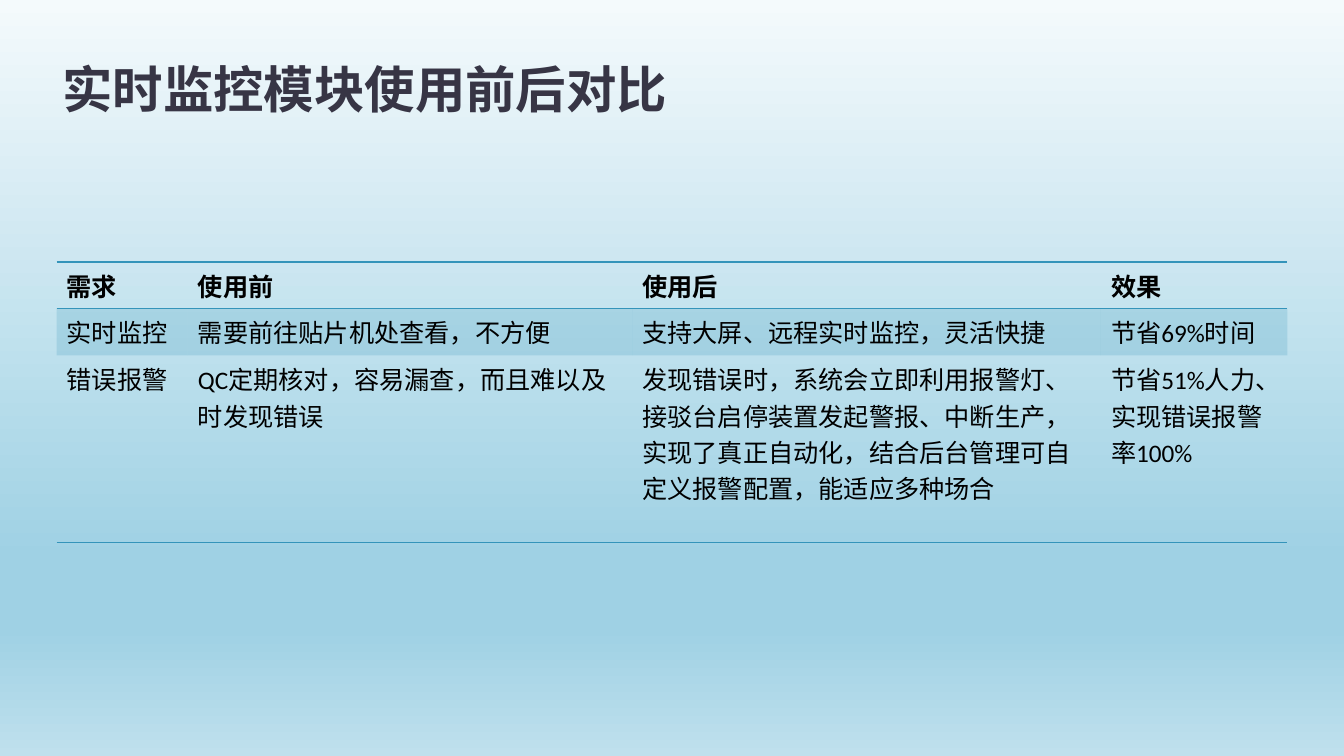
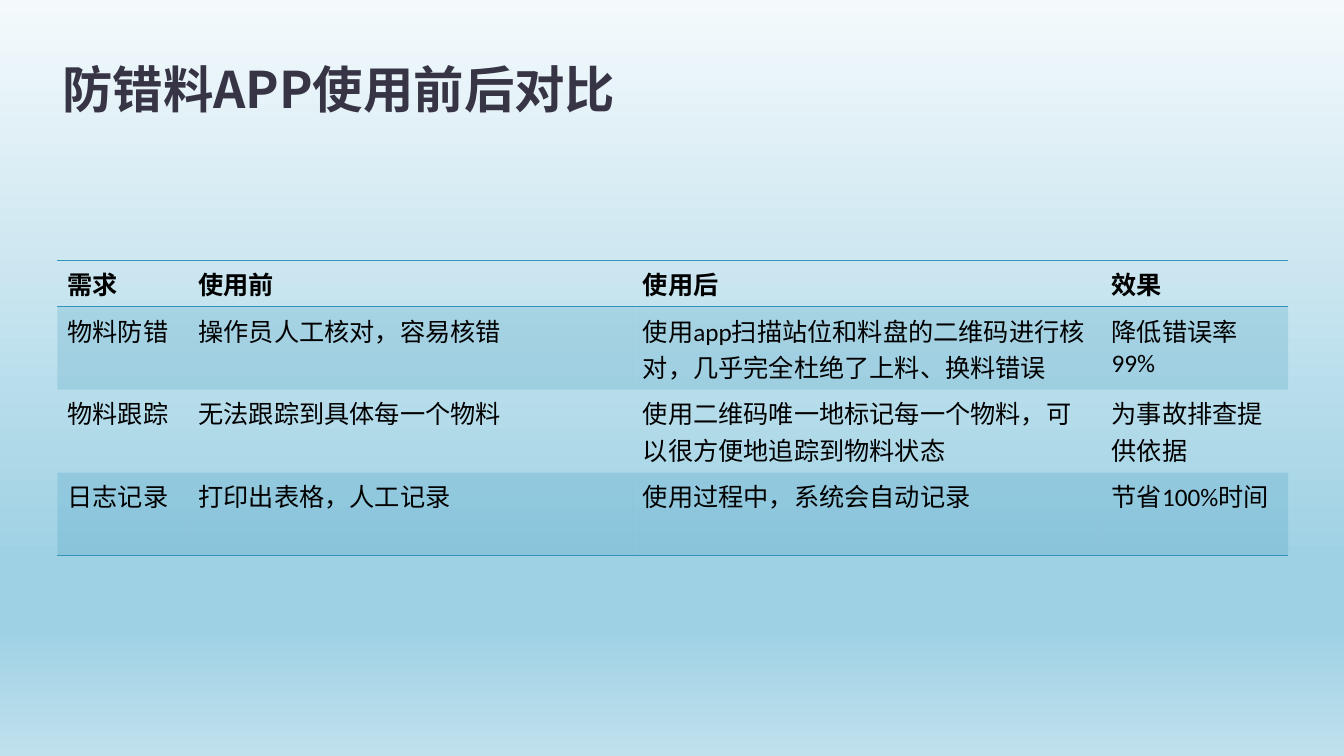
from dataclasses import dataclass

from lxml import etree
from pptx import Presentation
from pptx.dml.color import RGBColor
from pptx.enum.text import MSO_ANCHOR
from pptx.oxml.ns import qn
from pptx.slide import Slide, SlideMaster
from pptx.table import Table, _Cell
from pptx.text.text import TextFrame
from pptx.util import Pt

BOTTOM = MSO_ANCHOR.BOTTOM
PLAIN = "{2D5ABB26-0587-4C30-8999-92F81FD0307C}"


@dataclass(frozen=True)
class Theme:
    ink: str = "373545"
    text: str = "000000"
    line: str = "3494BA"
    band: str = "3494BA"
    clear: int = 20
    sky: tuple[tuple[int, str], ...] = (
        (0, "F4FAFC"), (74, "9FD1E4"), (83, "9FD1E4"), (100, "BFE0ED"))
    head: int = 36
    body: int = 18
    rule: int = 1
    latin: str = "Calibri"
    asian: str = "Noto Sans CJK SC"


@dataclass(frozen=True)
class Page:
    title: str
    left: float
    top: float
    highs: tuple[float, ...]
    rows: tuple[tuple[str, ...], ...]


THEME = Theme()
WIDE, HIGH = 960, 540
COLS = (93.6, 317.5, 334.8, 133.2)
HEADS = ("需求", "使用前", "使用后", "效果")
ONE, TWO = 33.3, 59.3

PAGES = (
    Page("实时监控模块使用前后对比", 40.5, 187.2, (ONE, ONE, 133.6), (
        ("实时监控", "需要前往贴片机处查看，不方便",
         "支持大屏、远程实时监控，灵活快捷", "节省69%时间"),
        ("错误报警", "QC定期核对，容易漏查，而且难以及时发现错误",
         "发现错误时，系统会立即利用报警灯、接驳台启停装置发起警报、中断生产，"
         "实现了真正自动化，结合后台管理可自定义报警配置，能适应多种场合",
         "节省51%人力、实现错误报警率100%"),
    )),
    Page("防错料APP使用前后对比", 41, 185.8, (ONE, TWO, TWO, TWO), (
        ("物料防错", "操作员人工核对，容易核错",
         "使用app扫描站位和料盘的二维码进行核对，几乎完全杜绝了上料、换料错误",
         "降低错误率99%"),
        ("物料跟踪", "无法跟踪到具体每一个物料",
         "使用二维码唯一地标记每一个物料，可以很方便地追踪到物料状态",
         "为事故排查提供依据"),
        ("日志记录", "打印出表格，人工记录", "使用过程中，系统会自动记录",
         "节省100%时间"),
    )),
)


def paint_sky(master: SlideMaster) -> None:
    fill = master.background.fill
    fill.gradient()
    fill.gradient_angle = 270
    stops = master.element.find(".//" + qn("a:gsLst"))
    for old in list(stops):
        stops.remove(old)
    for spot, tint in THEME.sky:
        stop = etree.SubElement(stops, qn("a:gs"), pos=str(spot * 1000))
        etree.SubElement(stop, qn("a:srgbClr"), val=tint)


def write(frame: TextFrame, text: str, size: int, face: str,
          tint: str, bold: bool) -> None:
    frame.text = text
    for run in frame.paragraphs[0].runs:
        font = run.font
        font.size, font.bold, font.name = Pt(size), bold, face
        font.color.rgb = RGBColor.from_string(tint)
        etree.SubElement(run.font._element, qn("a:ea"), typeface=THEME.asian)


def add_title(slide: Slide, text: str) -> None:
    box = slide.shapes.add_textbox(Pt(37.4), Pt(0.7), Pt(864), Pt(84.3))
    frame = box.text_frame
    frame.word_wrap = True
    frame.vertical_anchor = BOTTOM
    frame.margin_bottom = Pt(0)
    write(frame, text, THEME.head, THEME.asian, THEME.ink, True)


def fill_cell(cell: _Cell, band: bool) -> None:
    if not band:
        cell.fill.background()
        return
    cell.fill.solid()
    cell.fill.fore_color.rgb = RGBColor.from_string(THEME.band)
    tint = cell._tc.tcPr.find(".//" + qn("a:srgbClr"))
    etree.SubElement(tint, qn("a:alpha"), val=str(THEME.clear * 1000))


def rule_cell(cell: _Cell, sides: list[str]) -> None:
    props = cell._tc.get_or_add_tcPr()
    for spot, side in enumerate(sides):
        line = etree.Element(qn(f"a:ln{side}"), w=str(Pt(THEME.rule)))
        fill = etree.SubElement(line, qn("a:solidFill"))
        etree.SubElement(fill, qn("a:srgbClr"), val=THEME.line)
        props.insert(spot, line)


def fill_table(table: Table, rows: tuple[tuple[str, ...], ...]) -> None:
    last = len(rows) - 1
    for r, row in enumerate(rows):
        sides = {0: ["T", "B"], last: ["B"]}.get(r, [])
        for c, text in enumerate(row):
            cell = table.cell(r, c)
            write(cell.text_frame, text, THEME.body, THEME.latin,
                  THEME.text, r == 0)
            fill_cell(cell, r % 2 == 1)
            rule_cell(cell, sides)


def add_grid(slide: Slide, page: Page) -> None:
    rows = (HEADS, *page.rows)
    frame = slide.shapes.add_table(
        len(rows), len(COLS), Pt(page.left), Pt(page.top),
        Pt(sum(COLS)), Pt(sum(page.highs)))
    frame._element.find(".//" + qn("a:tableStyleId")).text = PLAIN
    table = frame.table
    for col, width in zip(table.columns, COLS):
        col.width = Pt(width)
    for row, height in zip(table.rows, page.highs):
        row.height = Pt(height)
    fill_table(table, rows)


def main() -> None:
    deck = Presentation()
    deck.slide_width, deck.slide_height = Pt(WIDE), Pt(HIGH)
    paint_sky(deck.slide_master)
    blank = deck.slide_layouts[6]
    for page in PAGES:
        slide = deck.slides.add_slide(blank)
        add_title(slide, page.title)
        add_grid(slide, page)
    deck.save("out.pptx")


if __name__ == "__main__":
    main()
